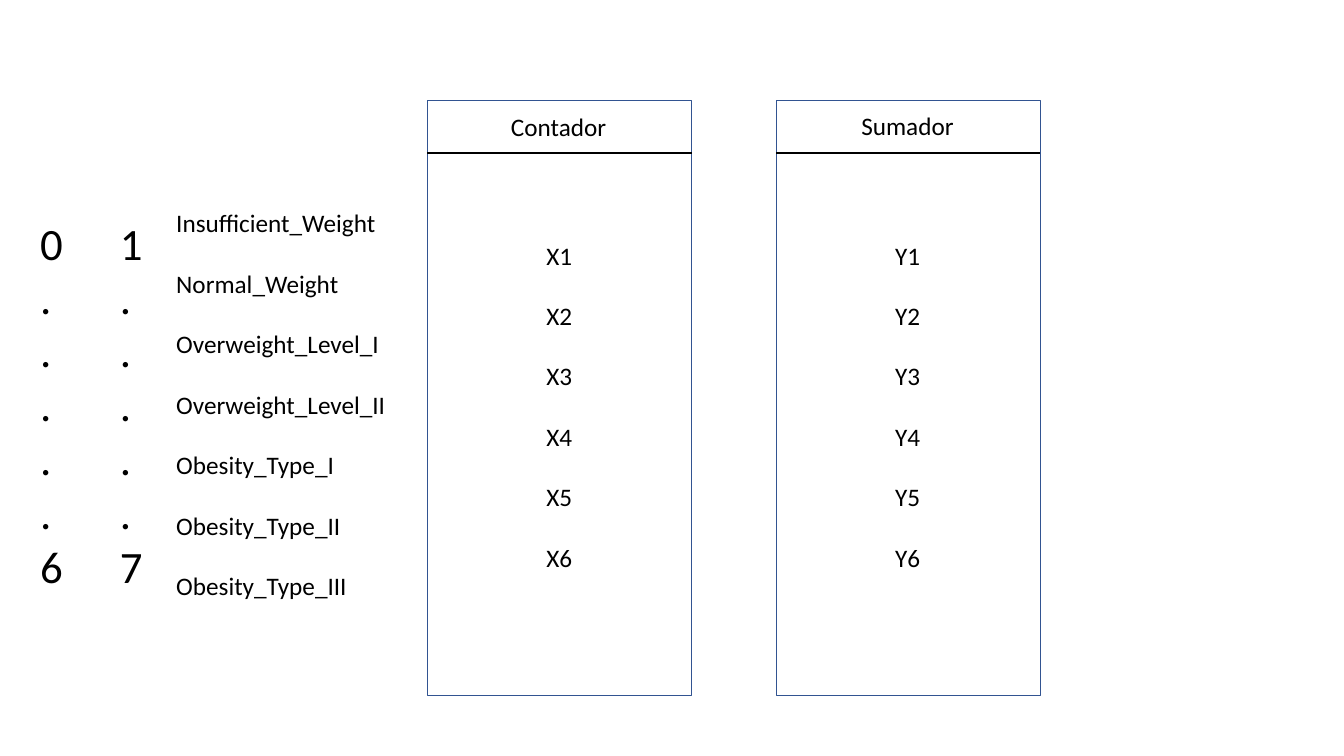
from pptx import Presentation
from pptx.dml.color import RGBColor
from pptx.enum.shapes import MSO_CONNECTOR, MSO_SHAPE
from pptx.enum.text import MSO_AUTO_SIZE
from pptx.oxml.ns import qn
from pptx.util import Inches, Pt
from lxml import etree

RECT = MSO_SHAPE.RECTANGLE
LINE = MSO_CONNECTOR.STRAIGHT
GROW = MSO_AUTO_SIZE.SHAPE_TO_FIT_TEXT
BLACK = RGBColor(0x00, 0x00, 0x00)
BLUE = RGBColor(0x32, 0x54, 0x91)
FONT = "Calibri"

RANGES = [("0", "6"), ("1", "7")]
LEVELS = [
    "Insufficient_Weight",
    "Normal_Weight",
    "Overweight_Level_I",
    "Overweight_Level_II",
    "Obesity_Type_I",
    "Obesity_Type_II",
    "Obesity_Type_III",
]
PANELS = [("Contador", "X", 1.16, 1.06), ("Sumador", "Y", 1.13, 1.05)]
DOTS = 5
ROWS = 6

RANGE_LEFT, RANGE_STEP = 0.3, 0.79
PANEL_LEFT, PANEL_STEP = 4.24, 3.46
PANEL_TOP, PANEL_WIDE, PANEL_HIGH = 1, 2.62, 5.9
HEAD_HIGH = 0.52
CELL_WIDE = 0.46


def add_text(shapes, lines, box, size=18, space=None):
    text = shapes.add_textbox(*map(Inches, box))
    frame = text.text_frame
    frame.word_wrap = False
    frame.auto_size = GROW
    for i, line in enumerate(lines):
        para = frame.add_paragraph() if i else frame.paragraphs[0]
        if space:
            para.line_spacing = space
        run = para.add_run()
        run.text = line
        run.font.name = FONT
        run.font.size = Pt(size)
        run.font.color.rgb = BLACK


def add_panel(shapes, left):
    group = shapes.add_group_shape().shapes
    frame = group.add_shape(RECT, Inches(left), Inches(PANEL_TOP),
                            Inches(PANEL_WIDE), Inches(PANEL_HIGH))
    frame.shadow.inherit = False
    frame.fill.background()
    frame.line.color.rgb = BLUE
    frame.line.width = Pt(1)
    y = Inches(PANEL_TOP + HEAD_HIGH)
    rule = group.add_connector(LINE, Inches(left), y,
                               Inches(left + PANEL_WIDE), y)
    rule.line.color.rgb = BLACK
    rule.line.width = Pt(1.5)
    etree.SubElement(rule._element.spPr, qn("a:effectLst"))


def main():
    deck = Presentation()
    deck.slide_width = Inches(13.33)
    deck.slide_height = Inches(7.5)
    shapes = deck.slides.add_slide(deck.slide_layouts[6]).shapes

    for i, (first, last) in enumerate(RANGES):
        lines = [first] + ["."] * DOTS + [last]
        left = RANGE_LEFT + i * RANGE_STEP
        add_text(shapes, lines, (left, 2.09, 0.43, 4.41), size=32)

    add_text(shapes, LEVELS, (1.65, 1.71, 2.3, 4.26), space=2)

    for i, (title, letter, wide, top) in enumerate(PANELS):
        left = PANEL_LEFT + i * PANEL_STEP
        mid = left + PANEL_WIDE / 2
        add_panel(shapes, left)
        add_text(shapes, [title], (mid - wide / 2, top, wide, 0.4))
        cells = [f"{letter}{n}" for n in range(1, ROWS + 1)]
        box = (mid - CELL_WIDE / 2, 2.03, CELL_WIDE, 3.65)
        add_text(shapes, cells, box, space=2)

    deck.save("out.pptx")


if __name__ == "__main__":
    main()
